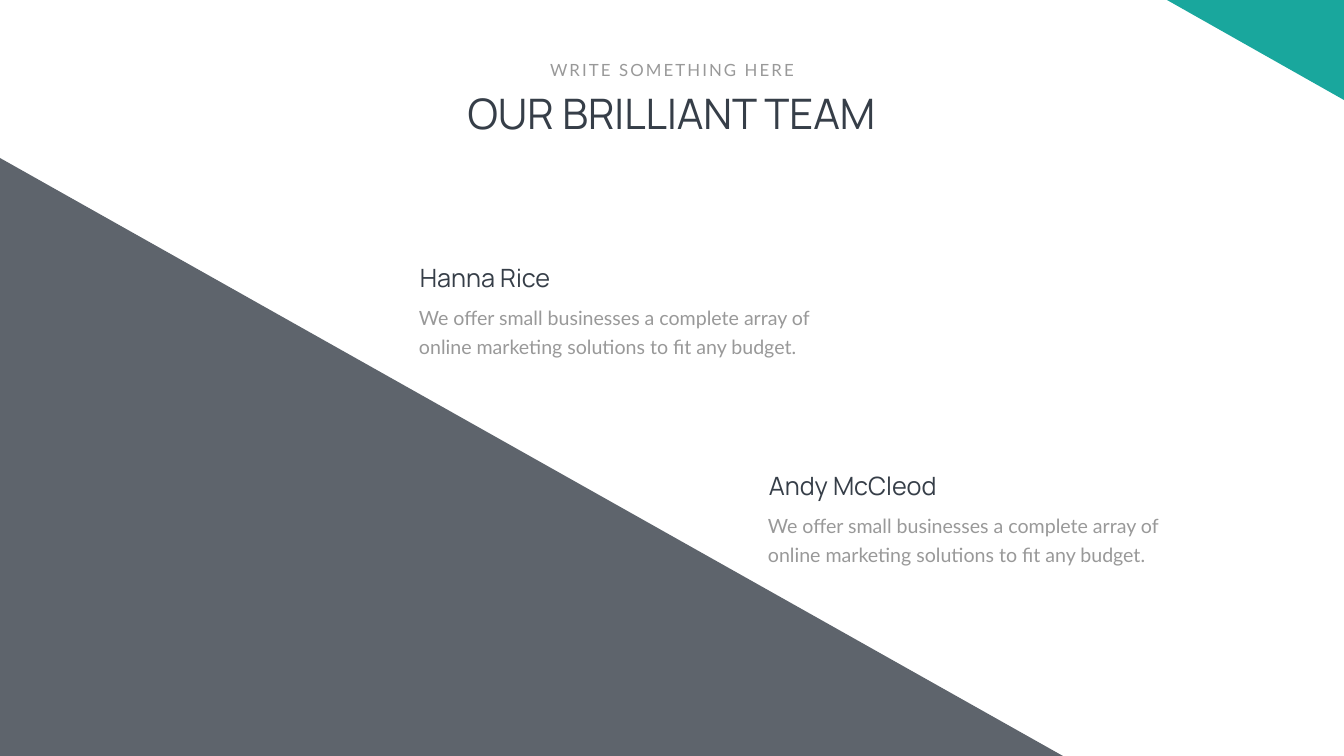
import dataclasses

import lxml.etree
import pptx
import pptx.dml.color
import pptx.enum.shapes
import pptx.enum.text
import pptx.oxml.ns
import pptx.util

SCALE = 18143
ALIGN = pptx.enum.text.PP_ALIGN


@dataclasses.dataclass(frozen=True)
class Theme:
    """Colours, typefaces and type sizes of the slide."""

    dark: str = "363E48"
    grey: str = "999999"
    teal: str = "19A79D"
    white: str = "FFFFFF"
    heading_font: str = "Manrope"
    body_font: str = "Lato"
    title_size: int = 60
    name_size: int = 36
    body_size: int = 28
    kicker_size: int = 24
    body_leading: float = 40.8
    kicker_tracking: int = 300


THEME = Theme()


def px(length):
    """Turn px into EMU."""
    return pptx.util.Emu(length * SCALE)


def rgb(color):
    """Turn a hex string into a colour."""
    return pptx.dml.color.RGBColor.from_string(color)


def add_text(group, box, text, font, size, color, align=ALIGN.LEFT, wrap=True):
    """Add a one-paragraph text box and return its shape."""
    shape = group.shapes.add_textbox(*map(px, box))
    frame = shape.text_frame
    frame.word_wrap = wrap
    frame.auto_size = pptx.enum.text.MSO_AUTO_SIZE.SHAPE_TO_FIT_TEXT
    paragraph = frame.paragraphs[0]
    paragraph.text = text
    paragraph.alignment = align
    paragraph.font.name = font
    paragraph.font.size = pptx.util.Pt(size)
    paragraph.font.color.rgb = rgb(color)
    return shape


def add_triangle(slide, box, color, rotation=0, opacity=100):
    """Add a right triangle filling the box."""
    shape = slide.shapes.add_shape(
        pptx.enum.shapes.MSO_SHAPE.RIGHT_TRIANGLE, *map(px, box))
    shape.shadow.inherit = False
    shape.rotation = rotation
    shape.line.fill.background()
    shape.fill.solid()
    shape.fill.fore_color.rgb = rgb(color)
    if opacity < 100:
        qn = pptx.oxml.ns.qn
        fill = shape._element.spPr.find(qn("a:solidFill"))
        alpha = lxml.etree.SubElement(fill.find(qn("a:srgbClr")), qn("a:alpha"))
        alpha.set("val", str(opacity * 1000))


def add_member(slide, box, name, description):
    """Add a team member's name above a short description."""
    left, top, width, height = box
    group = slide.shapes.add_group_shape()
    body = add_text(group, (left, top + 35, width, height - 35), description,
                    THEME.body_font, THEME.body_size, THEME.grey)
    frame = body.text_frame
    frame.margin_left = frame.margin_right = px(12)
    frame.margin_top = frame.margin_bottom = px(6)
    frame.paragraphs[0].line_spacing = pptx.util.Pt(THEME.body_leading)
    add_text(group, (left + 8, top, 200, 36), name,
             THEME.heading_font, THEME.name_size, THEME.dark)


def add_header(slide, box, title, kicker):
    """Add the centred title with a letterspaced kicker above it."""
    left, top, width, height = box
    group = slide.shapes.add_group_shape()
    add_text(group, (left, top + 28, width, height - 28), title,
             THEME.heading_font, THEME.title_size, THEME.dark, ALIGN.CENTER)
    kicker_width = 260
    kicker_left = left + (width - kicker_width) // 2 + 1
    shape = add_text(group, (kicker_left, top, kicker_width, 25), kicker,
                     THEME.body_font, THEME.kicker_size, THEME.grey,
                     ALIGN.CENTER, wrap=False)
    run = shape.text_frame.paragraphs[0].runs[0]
    run._r.get_or_add_rPr().set("spc", str(THEME.kicker_tracking))


def main():
    """Build and save the team slide."""
    presentation = pptx.Presentation()
    presentation.slide_width = px(1344)
    presentation.slide_height = px(756)
    slide = presentation.slides.add_slide(presentation.slide_layouts[6])
    slide.background.fill.solid()
    slide.background.fill.fore_color.rgb = rgb(THEME.white)

    description = ("We offer small businesses a complete array of "
                   "online marketing solutions to fit any budget.")
    members = [("Hanna Rice", 407, 260), ("Andy McCleod", 756, 468)]
    for name, left, top in members:
        add_member(slide, (left, top, 458, 102), name, description)
    add_triangle(slide, (0, 158, 1063, 598), THEME.dark, opacity=80)
    add_header(slide, (273, 57, 797, 84),
               "OUR BRILLIANT TEAM", "WRITE SOMETHING HERE")
    add_triangle(slide, (1167, 0, 177, 100), THEME.teal, rotation=180)
    presentation.save("out.pptx")


if __name__ == "__main__":
    main()
